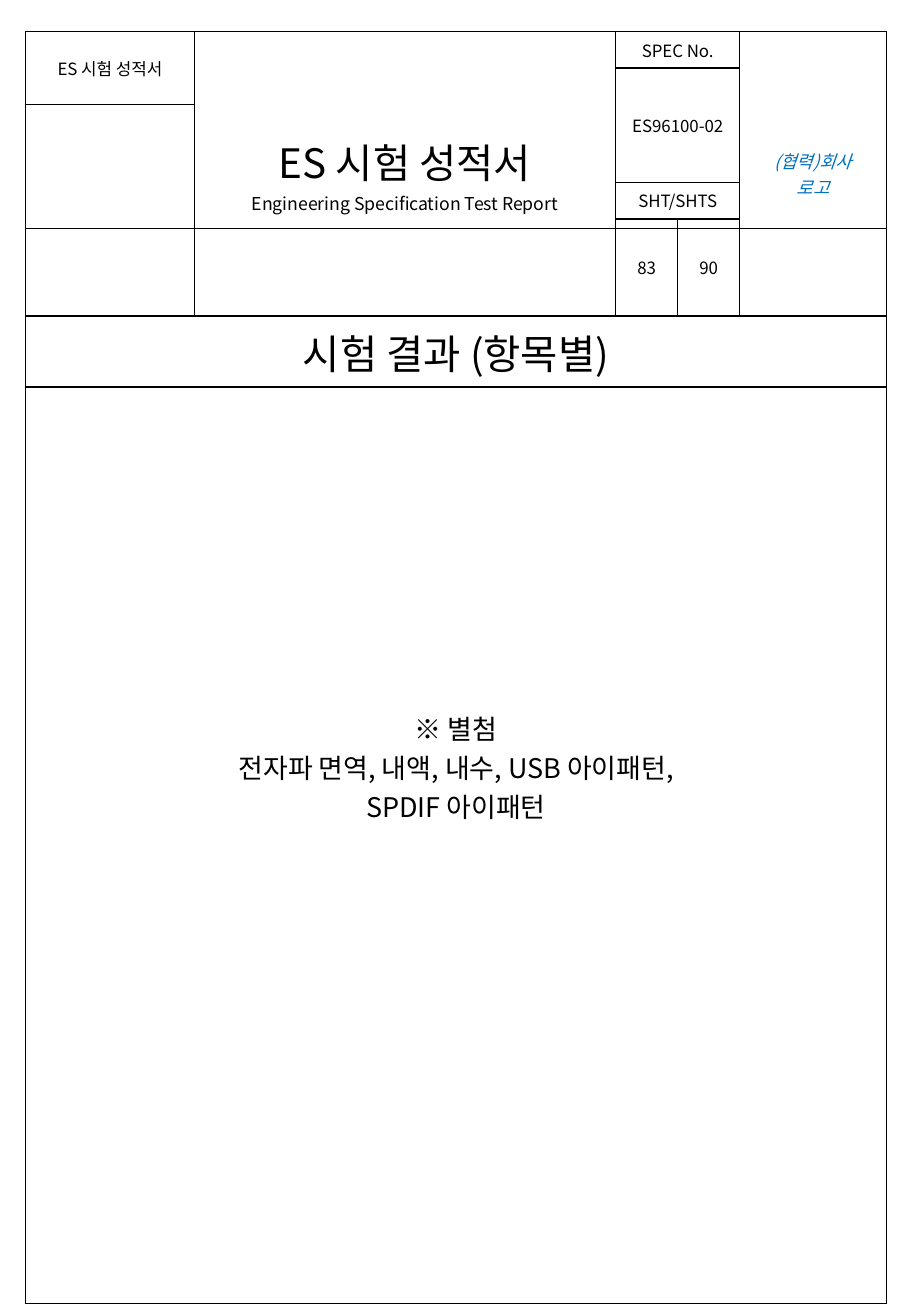
from lxml.etree import SubElement
from pptx import Presentation
from pptx.dml.color import RGBColor
from pptx.enum.text import MSO_ANCHOR as Anchor, PP_ALIGN as Align
from pptx.oxml.ns import qn
from pptx.util import Inches, Pt

FONT = "Noto Sans CJK KR"
BLACK, BLUE = "000000", "0070C0"
LEFT, WIDTH = 0.21, 7.09


def add_grid(top, columns, rows, line_width):
    """Add an unfilled table whose cells all have a black border."""
    frame = slide.shapes.add_table(
        len(rows), len(columns), Inches(LEFT), Inches(top), Inches(WIDTH), Inches(sum(rows)))
    table = frame.table
    table.first_row = table.horz_banding = False
    for column, width in zip(table.columns, columns):
        column.width = Inches(width)
    for row, height in zip(table.rows, rows):
        row.height = Inches(height)
    for cell in table.iter_cells():
        properties = cell._tc.get_or_add_tcPr()
        for side in ("a:lnL", "a:lnR", "a:lnT", "a:lnB"):
            line = SubElement(properties, qn(side), w=str(Pt(line_width)))
            SubElement(SubElement(line, qn("a:solidFill")), qn("a:srgbClr"), val=BLACK)
        cell.fill.background()
    return table


def write(cell, lines, color=BLACK, italic=False):
    """Write centred lines, each given as text and point size."""
    cell.vertical_anchor = Anchor.MIDDLE
    frame = cell.text_frame
    for index, (text, size) in enumerate(lines):
        paragraph = frame.add_paragraph() if index else frame.paragraphs[0]
        paragraph.alignment = Align.CENTER
        run = paragraph.add_run()
        run.text = text
        run.font.size = Pt(size)
        run.font.italic = italic
        run.font.color.rgb = RGBColor.from_string(color)
        run.font.name = FONT
        SubElement(run.font._element, qn("a:ea"), typeface=FONT)


presentation = Presentation()
presentation.slide_width, presentation.slide_height = Inches(7.5), Inches(10.83)
slide = presentation.slides.add_slide(presentation.slide_layouts[6])

# Report header
header = add_grid(0.26, [1.39, 3.47, 0.51, 0.51, 1.21],
                  [0.3, 0.3, 0.64, 0.3, 0.8, 0.58], 1)

# Merged areas: first row, first column, last row, last column
for top, left, bottom, right in [
    (0, 0, 1, 0), (2, 0, 4, 0), (0, 1, 4, 1), (0, 2, 0, 3),
    (1, 2, 2, 3), (3, 2, 3, 3), (0, 4, 4, 4), (5, 0, 5, 4),
]:
    header.cell(top, left).merge(header.cell(bottom, right))

# Header wording by row and column
for row, column, lines in [
    (0, 0, [("ES 시험 성적서", 10)]),
    (0, 1, [("ES 시험 성적서", 24), ("Engineering Specification Test Report", 10.5)]),
    (0, 2, [("SPEC No.", 10)]),
    (1, 2, [("ES96100-02", 10)]),
    (3, 2, [("SHT/SHTS", 10)]),
    (4, 2, [("83", 10)]),
    (4, 3, [("90", 10)]),
    (5, 0, [("시험 결과 (항목별)", 24)]),
]:
    write(header.cell(row, column), lines)
write(header.cell(0, 4), [("(협력)회사", 10.5), ("로고", 10.5)], BLUE, italic=True)

# Results frame with the attachment list
results = add_grid(1.88, [WIDTH], [8.85], 0.5).cell(0, 0)
results.margin_left = results.margin_right = results.margin_top = Inches(0.01)
results.margin_bottom = 0
write(results, [("※ 별첨", 16),
                ("전자파 면역, 내액, 내수, USB 아이패턴,", 16),
                ("SPDIF 아이패턴", 16)])

presentation.save("out.pptx")
